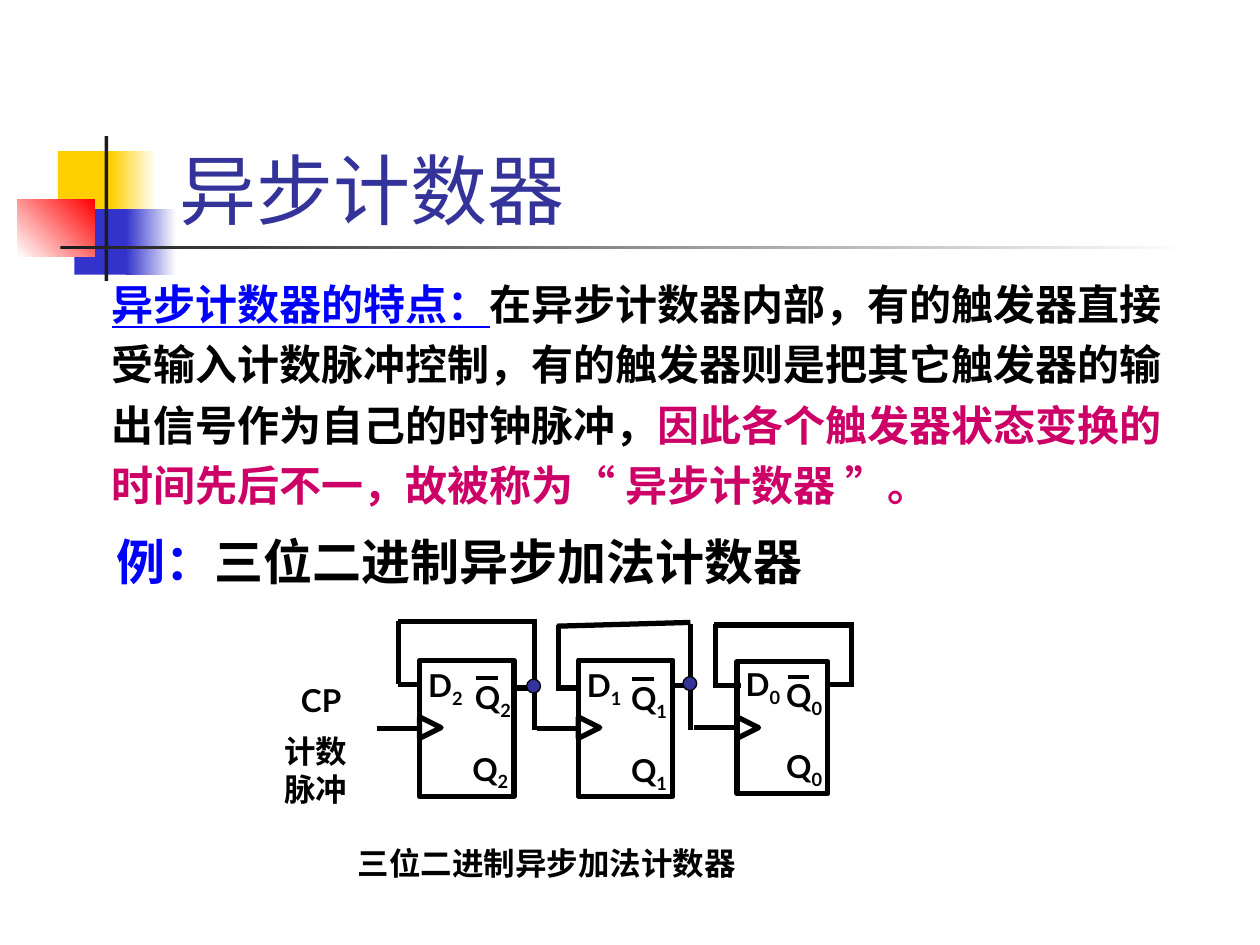
from lxml.etree import SubElement
from pptx import Presentation
from pptx.dml.color import RGBColor
from pptx.enum.shapes import MSO_CONNECTOR, MSO_SHAPE
from pptx.oxml.ns import qn
from pptx.util import Inches, Pt

COLORS = {
    "yellow": "FFCF01", "blue": "3333CC", "red": "FF0000", "white": "FFFFFF",
    "dark": "1C1C1C", "black": "000000", "navy": "333399",
    "link": "0000FF", "magenta": "CC0066",
}
RGB = {name: RGBColor.from_string(value) for name, value in COLORS.items()}

deck = Presentation()
deck.slide_width, deck.slide_height = Inches(10), Inches(7.5)
page = deck.slides.add_slide(deck.slide_layouts[6])


def add_text(left, top, width, height, runs, size=18, font="Lato", bold=True):
    """Add a one-paragraph text box; runs are (text, colour) pairs."""
    box = page.shapes.add_textbox(*map(Inches, (left, top, width, height)))
    box.text_frame.word_wrap = True
    para = box.text_frame.paragraphs[0]
    para.font.size, para.font.name, para.font.bold = Pt(size), font, bold
    for text, color in runs:
        span = para.add_run()
        span.text = text
        span.font.color.rgb = RGB[color]
    return para


def add_wire(x1, y1, x2, y2, weight=3):
    """Add a straight black line without a shadow."""
    wire = page.shapes.add_connector(
        MSO_CONNECTOR.STRAIGHT, *map(Inches, (x1, y1, x2, y2)))
    wire.line.color.rgb = RGB["black"]
    wire.line.width = Pt(weight)
    SubElement(wire._element.spPr, qn("a:effectLst"))
    return wire


# Corner decoration: left, top, width, height, colours, gradient angle
decoration = [
    (0.46, 1.2, 0.48, 0.52, ["yellow"], 0),
    (0.88, 1.2, 0.36, 0.52, ["yellow", "white"], 0),
    (0.59, 1.66, 0.46, 0.52, ["blue"], 0),
    (1, 1.66, 0.4, 0.52, ["blue", "white"], 0),
    (0.14, 1.58, 0.61, 0.46, ["white", "red"], 45),
    (0.83, 1.08, 0.03, 1.15, ["dark"], 0),
    (0.48, 1.95, 9, 0.03, ["dark", "white"], 0),
]
for left, top, width, height, colors, angle in decoration:
    block = page.shapes.add_shape(
        MSO_SHAPE.RECTANGLE, *map(Inches, (left, top, width, height)))
    block.shadow.inherit = False
    block.line.fill.background()
    if len(colors) == 1:
        block.fill.solid()
        block.fill.fore_color.rgb = RGB[colors[0]]
    else:
        block.fill.gradient()
        block.fill.gradient_angle = angle
        for stop, color, position in zip(block.fill.gradient_stops, colors, (0, 1)):
            stop.color.rgb = RGB[color]
            stop.position = position

# Title, explanation and example heading
add_text(1.33, 1.08, 6.94, 0.84, [("异步计数器", "navy")],
         size=44, font="Times New Roman", bold=False)
feature = add_text(0.79, 2.08, 8.54, 2.02, [
    ("异步计数器的特点：", "link"),
    ("在异步计数器内部，有的触发器直接受输入计数脉冲控制，"
     "有的触发器则是把其它触发器的输出信号作为自己的时钟脉冲，", "black"),
    ("因此各个触发器状态变换的时间先后不一，故被称为“ 异步计数器 ”。", "magenta"),
], size=24)
feature.line_spacing = 1.2
feature.runs[0].font.underline = True
example = add_text(0.83, 4.17, 7.64, 0.57,
                   [("例：", "link"), ("三位二进制异步加法计数器", "black")], size=28)
example.runs[0].font.name = "Noto Sans CJK SC"

# Flip-flops: index, left, top, width, height, start of clock wire,
# then label positions: D, inverted Q, Q
flip_flops = [
    ("2", 3.33, 5.24, 0.75, 1.08, 2.99, (3.3, 5.24), (3.67, 5.33), (3.65, 5.9)),
    ("1", 4.59, 5.24, 0.75, 1.08, 4.26, (4.56, 5.24), (4.91, 5.34), (4.91, 5.91)),
    ("0", 5.85, 5.25, 0.72, 1.05, 5.51, (5.82, 5.23), (6.14, 5.32), (6.14, 5.88)),
]
for index, left, top, width, height, clock_x, d_at, inverted_at, q_at in flip_flops:
    body = page.shapes.add_shape(
        MSO_SHAPE.RECTANGLE, *map(Inches, (left, top, width, height)))
    clock_mark = page.shapes.add_shape(
        MSO_SHAPE.FLOWCHART_EXTRACT, *map(Inches, (left, 5.69, 0.17, 0.17)))
    clock_mark.rotation = 90
    for outline in (body, clock_mark):
        outline.shadow.inherit = False
        outline.fill.background()
        outline.line.color.rgb = RGB["black"]
        outline.line.width = Pt(3)

    clock_y = top + height / 2
    add_wire(clock_x, clock_y, left, clock_y).end_connect(body, 1)

    for letter, (x, y) in (("D", d_at), ("Q", inverted_at), ("Q", q_at)):
        label = add_text(x, y, 0.55, 0.44, [(letter, "black"), (index, "black")])
        label.runs[1].font._element.set("baseline", "-25000")
    bar_x, bar_y = inverted_at[0] + 0.11, inverted_at[1] + 0.05
    add_wire(bar_x, bar_y, bar_x + 0.17, bar_y, weight=2.25)

# Feedback wires from each inverted output to its D input
feedback_wires = [
    (3.16, 5.43, 3.35, 5.43), (4.41, 5.46, 4.6, 5.46), (5.69, 5.44, 5.88, 5.44),
    (4.1, 5.46, 4.28, 5.46), (5.32, 5.44, 5.51, 5.44), (6.57, 5.43, 6.76, 5.43),
    (3.16, 4.93, 3.16, 5.43), (4.43, 4.96, 4.43, 5.46), (5.68, 4.95, 5.68, 5.46),
    (4.24, 4.95, 4.24, 5.79), (5.48, 4.95, 5.48, 5.79), (6.76, 4.95, 6.76, 5.45),
    (3.16, 4.93, 4.26, 4.93), (4.42, 4.97, 5.48, 4.94), (5.67, 4.96, 6.78, 4.96),
]
for ends in feedback_wires:
    add_wire(*ends)

# Junction dots
for x, y in ((4.18, 5.39), (5.42, 5.37)):
    dot = page.shapes.add_shape(
        MSO_SHAPE.OVAL, *map(Inches, (x, y, 0.11, 0.11)))
    dot.shadow.inherit = False
    dot.fill.solid()
    dot.fill.fore_color.rgb = RGB["navy"]
    dot.line.color.rgb = RGB["black"]
    dot.line.width = Pt(0.75)

# Input labels and caption
add_text(2.29, 5.36, 0.88, 0.4, [("CP", "black")])
add_text(2.16, 5.76, 0.84, 0.7, [("计数脉冲", "black")])
add_text(2.74, 6.65, 4.42, 0.4, [("三位二进制异步加法计数器", "black")])

deck.save("out.pptx")
